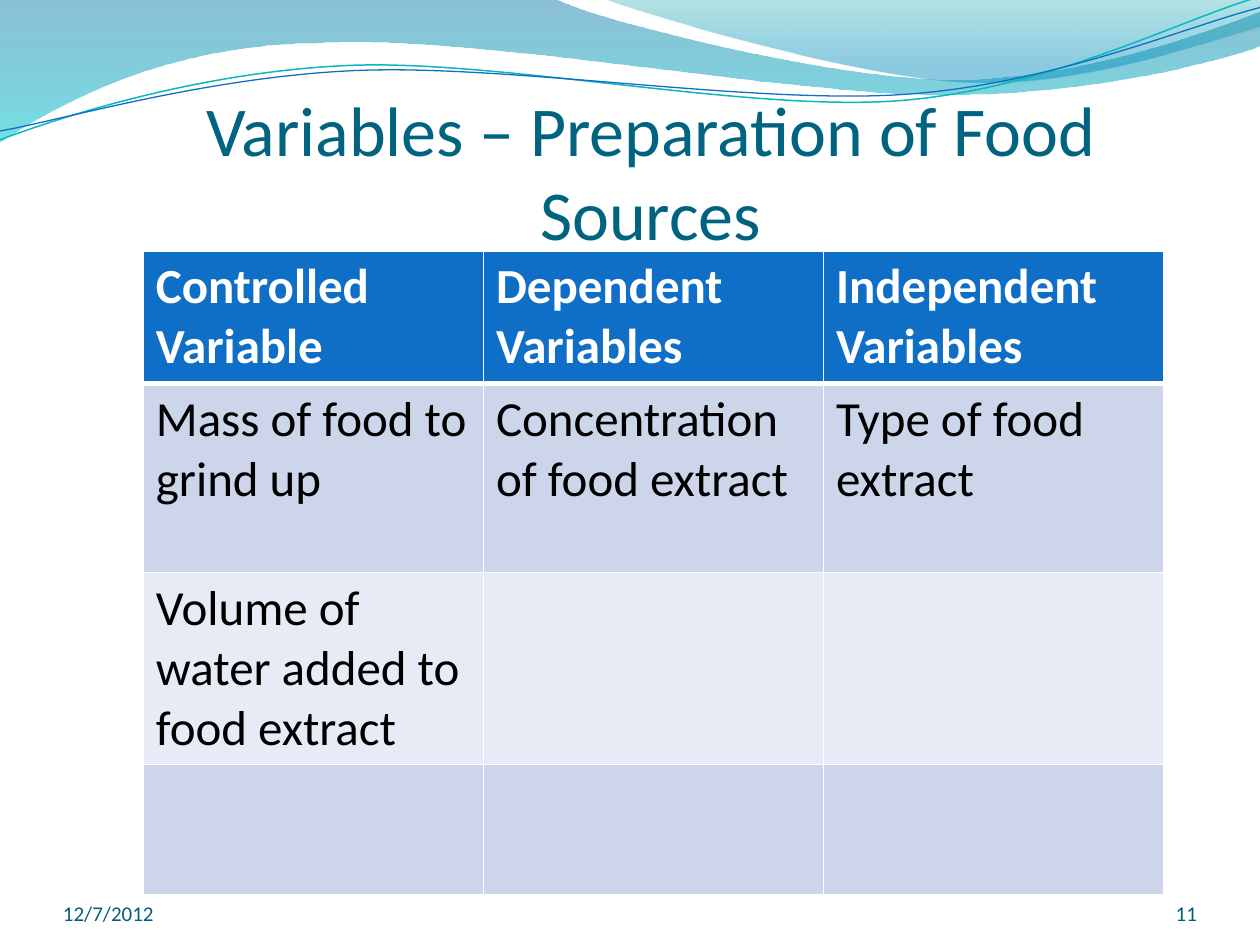
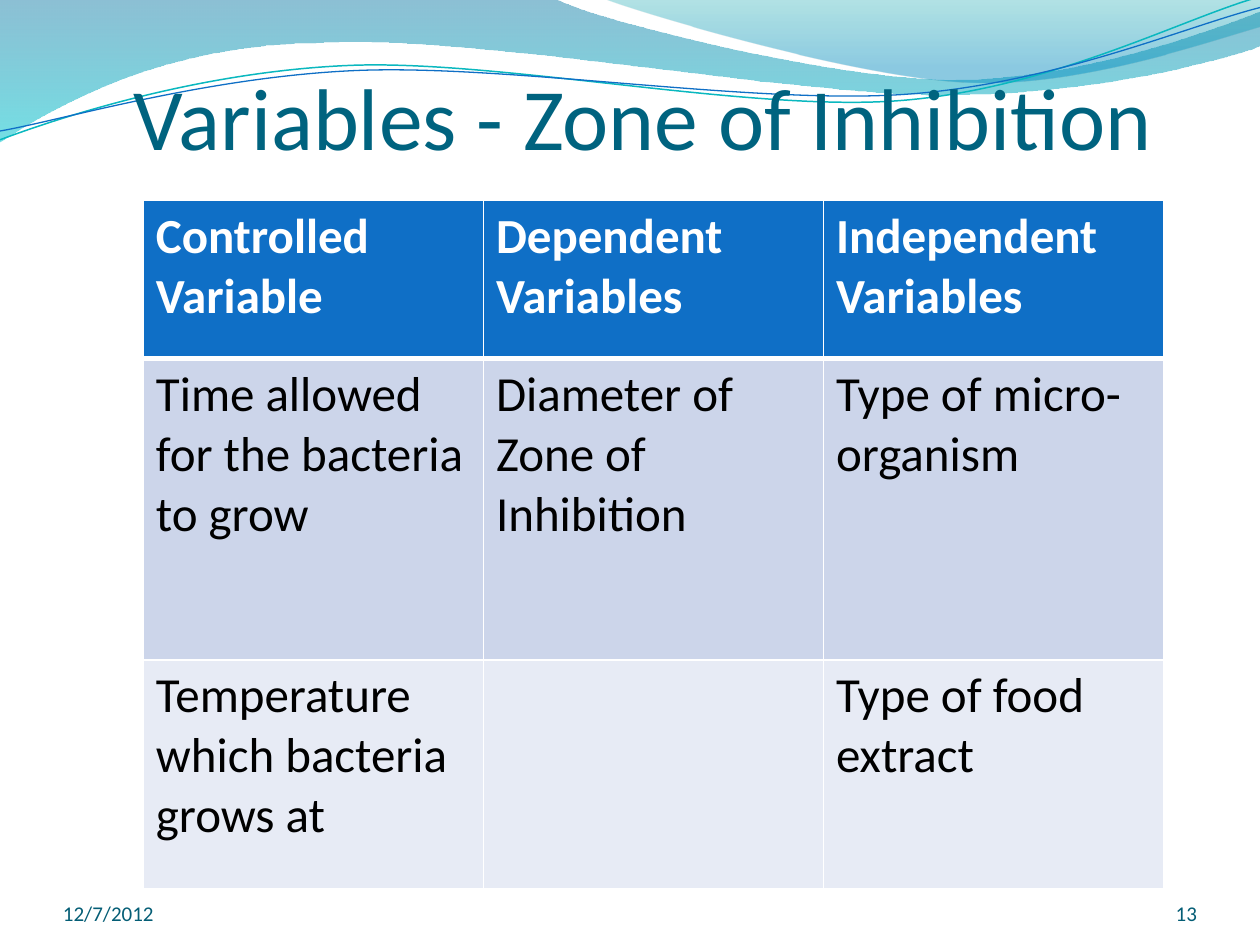
from dataclasses import dataclass
from lxml.etree import SubElement
from pptx import Presentation
from pptx.dml.color import RGBColor as RGB
from pptx.enum.text import MSO_ANCHOR as ANCHOR, MSO_AUTO_SIZE as AUTO, PP_ALIGN as ALIGN
from pptx.oxml.ns import qn
from pptx.util import Cm, Pt


@dataclass(frozen=True)
class Theme:
    font: str = "Calibri"
    title: str = "00637F"
    footer: str = "045D75"
    header: str = "0F6FC6"
    header_text: str = "FFFFFF"
    body_text: str = "000000"
    border: str = "FFFFFF"
    bands: tuple = ("CCD5EA", "E7EBF5")
    teal_line: str = "0AB8BF"
    blue_line: str = "0F6FC6"
    left_wave: tuple = ((0, "0074A1", 45), (1, "00C6CF", 55))
    right_wave: tuple = ((0, "00A1A9", 30), (0.8, "008BBF", 45))
    table_size: int = 28
    footer_size: int = 12
    grid_width: float = 1
    header_rule: float = 3


THEME = Theme()
WAVE_UNITS = 10

LEFT_WAVE = [
    (0, -0.01), (4.4, -0.01),
    (4.76, 0.17, 6.64, 0.63, 7.58, 0.63), (8.53, 0.63, 9.58, 0.26, 10, 0.09),
    (10.01, 0.36),
    (9.83, 0.44, 8.7, 0.76, 7.46, 0.75), (6.22, 0.75, 3.82, 0.28, 2.57, 0.34),
    (1.29, 0.35, 0.46, 0.83, -0.01, 1.13), (0, -0.01),
]
RIGHT_WAVE = [
    (4.79, -0.01),
    (5.09, 0.11, 6.82, 0.62, 7.69, 0.65), (8.56, 0.69, 9.61, 0.32, 10, 0.21),
    (10, 0), (4.79, -0.01),
]
TEAL_LINE = [
    (0, 1.11),
    (0.48, 0.93, 1.58, 0.57, 2.77, 0.52), (3.95, 0.47, 5.93, 0.89, 7.13, 0.8),
    (8.33, 0.71, 9.38, 0.15, 9.98, -0.02),
]
BLUE_LINE = [
    (0, 1.04),
    (0.47, 0.96, 1.64, 0.61, 2.83, 0.56), (4.03, 0.51, 5.97, 0.83, 7.17, 0.75),
    (8.36, 0.67, 9.41, 0.21, 10, 0.06),
]

HEADERS = ["Controlled Variable", "Dependent Variables", "Independent Variables"]


def box(*lengths):
    return tuple(Cm(n) for n in lengths)


def style_run(r, size, color, bold=False):
    r.font.name = THEME.font
    r.font.size = Pt(size)
    r.font.bold = bold
    r.font.color.rgb = RGB.from_string(color)


def fill_text(tf, text, size, color, align=ALIGN.LEFT, bold=False):
    tf.text = text
    p = tf.paragraphs[0]
    p.alignment = align
    for r in p.runs:
        style_run(r, size, color, bold)


def set_frame(tf, top=0):
    tf.word_wrap = True
    tf.auto_size = AUTO.NONE
    tf.vertical_anchor = ANCHOR.BOTTOM
    tf.margin_left = tf.margin_right = tf.margin_bottom = 0
    tf.margin_top = top


def bend_segments(sp, segments):
    lines = list(sp.element.spPr.iter(qn("a:lnTo")))
    for line, points in zip(lines, segments):
        if len(points) == 2:
            continue
        curve = SubElement(line.getparent(), qn("a:cubicBezTo"))
        for x, y in zip(points[::2], points[1::2]):
            SubElement(curve, qn("a:pt"), x=str(round(x - sp.left)), y=str(round(y - sp.top)))
        line.getparent().replace(line, curve)


def add_outline(slide, area, segments, close):
    left, top, width = area
    unit = width / WAVE_UNITS
    scaled = [tuple((top if i % 2 else left) + n * unit for i, n in enumerate(seg))
              for seg in segments]
    builder = slide.shapes.build_freeform(*scaled[0], scale=1.0)
    builder.add_line_segments([seg[-2:] for seg in scaled[1:]], close=close)
    sp = builder.convert_to_shape()
    bend_segments(sp, scaled[1:])
    sp.shadow.inherit = False
    return sp


def add_wave(slide, area, segments, stops):
    sp = add_outline(slide, area, segments, True)
    sp.line.fill.background()
    sp.fill.gradient()
    sp.fill.gradient_angle = 270
    for stop, (position, color, _) in zip(sp.fill.gradient_stops, stops):
        stop.position = position
        stop.color.rgb = RGB.from_string(color)
    colors = sp.element.spPr.iter(qn("a:srgbClr"))
    for color, (_, _, opacity) in zip(colors, stops):
        SubElement(color, qn("a:alpha"), val=str(opacity * 1000))
    return sp


def add_wave_line(slide, area, segments, color, width):
    sp = add_outline(slide, area, segments, False)
    sp.fill.background()
    sp.line.color.rgb = RGB.from_string(color)
    sp.line.width = Pt(width)
    return sp


def add_master_waves(prs, slide, area):
    waves = [
        add_wave(slide, area, LEFT_WAVE, THEME.left_wave),
        add_wave(slide, area, RIGHT_WAVE, THEME.right_wave),
        add_wave_line(slide, area, TEAL_LINE, THEME.teal_line, 0.85),
        add_wave_line(slide, area, BLUE_LINE, THEME.blue_line, 0.75),
    ]
    tree = prs.slide_master.shapes.element
    for i, sp in enumerate(waves):
        sp.element.nvSpPr.cNvPr.set("id", str(100 + i))
        tree.insert(2 + i, sp.element)


def add_title(slide, area, text, size, align):
    sp = slide.shapes.title
    sp.left, sp.top, sp.width, sp.height = area
    set_frame(sp.text_frame, Cm(0.13))
    fill_text(sp.text_frame, text, size, THEME.title, align)


def add_footer(slide, area, date, number):
    left, top, width, height = area
    date_width, number_width = Cm(5.92), Cm(2.12)
    for x, w, text, align in (
        (left, date_width, date, ALIGN.LEFT),
        (left + width - number_width, number_width, number, ALIGN.RIGHT),
    ):
        tf = slide.shapes.add_textbox(x, top, w, height).text_frame
        set_frame(tf)
        fill_text(tf, text, THEME.footer_size, THEME.footer, align)


def set_borders(cell, top, bottom):
    tc_pr = cell._tc.get_or_add_tcPr()
    widths = {"L": THEME.grid_width, "R": THEME.grid_width, "T": top, "B": bottom}
    for i, (side, width) in enumerate(widths.items()):
        ln = SubElement(tc_pr, qn(f"a:ln{side}"), w=str(Pt(width)))
        fill = SubElement(ln, qn("a:solidFill"))
        SubElement(fill, qn("a:srgbClr"), val=THEME.border)
        tc_pr.insert(i, ln)


def add_variable_table(slide, area, rows, heights):
    left, top, width = area
    data = [HEADERS] + rows
    frame = slide.shapes.add_table(len(data), len(HEADERS), left, top, width, sum(heights))
    table = frame.table
    for col in table.columns:
        col.width = width // len(HEADERS)
    for i, (values, height) in enumerate(zip(data, heights)):
        table.rows[i].height = height
        head = i == 0
        back = THEME.header if head else THEME.bands[(i - 1) % 2]
        color = THEME.header_text if head else THEME.body_text
        for j, text in enumerate(values):
            cell = table.cell(i, j)
            cell.fill.solid()
            cell.fill.fore_color.rgb = RGB.from_string(back)
            set_borders(cell,
                        THEME.header_rule if i == 1 else THEME.grid_width,
                        THEME.header_rule if head else THEME.grid_width)
            if text:
                fill_text(cell.text_frame, text, THEME.table_size, color, bold=head)


def add_variables_slide(prs, title, title_top, title_size, align, number,
                        table_top, rows, heights):
    slide = prs.slides.add_slide(prs.slide_layouts[5])
    add_title(slide, box(2.7, title_top, 20.83, 3.18), title, title_size, align)
    add_footer(slide, box(1.27, 17.65, 22.86, 1.02), "12/7/2012", number)
    add_variable_table(slide, box(2.89, table_top, 20.57), rows, box(*heights))
    return slide


def main():
    prs = Presentation()
    prs.slide_width, prs.slide_height = box(25.4, 19.05)
    food = add_variables_slide(
        prs, "Variables – Preparation of Food Sources", 1.96, 40, ALIGN.CENTER, "11",
        5.06,
        [["Mass of food to grind up", "Concentration of food extract", "Type of food extract"],
         ["Volume of water added to food extract", "", ""],
         ["", "", ""]],
        (2.62, 3.81, 3.81, 2.62))
    add_variables_slide(
        prs, "Variables - Zone of Inhibition", 0.2, 50, ALIGN.LEFT, "13",
        4.04,
        [["Time allowed for the bacteria to grow", "Diameter of Zone of Inhibition",
          "Type of micro-organism"],
         ["Temperature which bacteria grows at", "", "Type of food extract"]],
        (3.19, 6.07, 4.62))
    add_master_waves(prs, food, box(0, 0, 25.4))
    prs.save("out.pptx")


if __name__ == "__main__":
    main()
